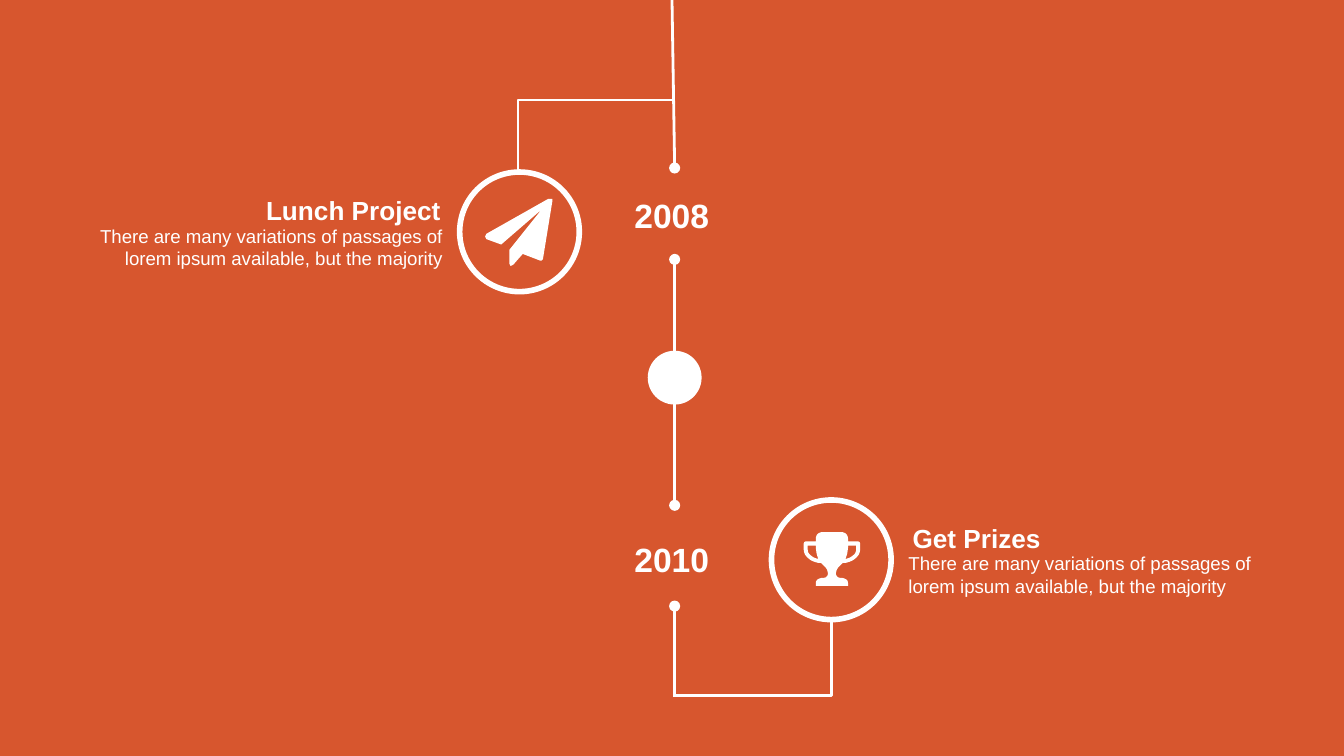
import pptx
import pptx.util
import pptx.dml.color
import pptx.enum.shapes
import pptx.enum.text
import pptx.oxml.ns
from lxml import etree

Inches = pptx.util.Inches
Pt = pptx.util.Pt
qn = pptx.oxml.ns.qn
SHAPES = pptx.enum.shapes.MSO_SHAPE
CONNECTORS = pptx.enum.shapes.MSO_CONNECTOR
ALIGN = pptx.enum.text.PP_ALIGN
ANCHOR = pptx.enum.text.MSO_ANCHOR

COLORS = {"background": "D7562E", "ink": "FFFFFF"}
FONT = "Arial"
WIDTH = 10
HEIGHT = WIDTH * 9 / 16
AXIS = 5.02
RING = 0.89
TROPHY_CENTER = 6.19
BLURB = "There are many variations of passages of lorem ipsum available, but the majority"

# Outlines in inches: a pair is a straight step, six numbers are a curve
PLANE = [
    (4.11, 1.5), (4.04, 1.93), (4.03, 1.94), (4.02, 1.94), (3.89, 1.89),
    (3.82, 1.97), (3.8, 1.98), (3.79, 1.96), (3.79, 1.86), (4.03, 1.56),
    (3.73, 1.82), (3.62, 1.78), (3.61, 1.76), (3.62, 1.74), (4.08, 1.48),
    (4.09, 1.48), (4.11, 1.48),
]
TROPHY_HALF = [
    (6.26, 3.96), (6.29, 3.96, 6.31, 3.98, 6.31, 4.01), (6.31, 4.03),
    (6.38, 4.03), (6.4, 4.03, 6.4, 4.04, 6.4, 4.06), (6.4, 4.09),
    (6.4, 4.14, 6.34, 4.19, 6.27, 4.19), (6.24, 4.22),
    (6.23, 4.23, 6.22, 4.25, 6.22, 4.27), (6.22, 4.28, 6.23, 4.3, 6.25, 4.3),
    (6.28, 4.3, 6.31, 4.31, 6.31, 4.34), (6.31, 4.36),
]
HANDLE_HOLE = [
    (6.31, 4.06), (6.37, 4.06), (6.37, 4.09),
    (6.37, 4.12, 6.34, 4.15, 6.29, 4.16), (6.3, 4.14, 6.31, 4.1, 6.31, 4.06),
]


def color(name):
    return pptx.dml.color.RGBColor.from_string(COLORS[name])


def add_shape(page, kind, left, top, width, height, fill=None, line_width=None):
    shape = page.shapes.add_shape(
        kind, Inches(left), Inches(top), Inches(width), Inches(height))
    shape.shadow.inherit = False
    if fill:
        shape.fill.solid()
        shape.fill.fore_color.rgb = color(fill)
    else:
        shape.fill.background()
    if line_width:
        shape.line.color.rgb = color("ink")
        shape.line.width = Pt(line_width)
    else:
        shape.line.fill.background()
    return shape


def add_line(page, start, end, kind=CONNECTORS.STRAIGHT, dots=()):
    """Draw a white connector; dots names the ends that carry an oval."""
    line = page.shapes.add_connector(kind, *(Inches(v) for v in start + end))
    line.line.color.rgb = color("ink")
    line.line.width = Pt(1.5)
    outline = line._element.spPr.find(qn("a:ln"))
    for dot in dots:
        etree.SubElement(outline, qn("a:" + dot), type="oval")
    etree.SubElement(line._element.spPr, qn("a:effectLst"))
    return line


def add_elbow(page, start, end):
    """Draw a one-bend connector, turned a quarter clockwise."""
    elbow = add_line(page, start, end, CONNECTORS.ELBOW)
    properties = elbow._element.spPr
    properties.find(qn("a:prstGeom")).set("prst", "bentConnector2")
    properties.find(qn("a:xfrm")).set("rot", "5400000")


def add_text(shapes, text, left, top, width, height, size,
             bold=False, align=ALIGN.LEFT):
    """Bold labels stay on one line; plain text wraps from the top."""
    box = shapes.add_textbox(Inches(left), Inches(top), Inches(width), Inches(height))
    frame = box.text_frame
    frame.margin_left = frame.margin_right = 0
    frame.margin_top = frame.margin_bottom = 0
    frame.word_wrap = not bold
    frame.auto_size = pptx.enum.text.MSO_AUTO_SIZE.SHAPE_TO_FIT_TEXT
    frame.vertical_anchor = ANCHOR.MIDDLE if bold else ANCHOR.TOP
    para = frame.paragraphs[0]
    para.alignment = align
    span = para.add_run()
    span.text = text
    span.font.name = FONT
    span.font.size = Pt(size)
    span.font.bold = bold
    span.font.color.rgb = color("ink")


def add_caption(page, heading, heading_place, blurb_place, align):
    group = page.shapes.add_group_shape()
    add_text(group.shapes, heading, *heading_place, 14, True, align)
    add_text(group.shapes, BLURB, *blurb_place, 10, False, align)


def flatten(outline, steps=8):
    """Turn an outline with curves into plain points."""
    points = [outline[0]]
    for part in outline[1:]:
        if len(part) == 2:
            points.append(part)
            continue
        corners = [points[-1], part[0:2], part[2:4], part[4:6]]
        for step in range(1, steps + 1):
            t = step / steps
            weights = ((1 - t) ** 3, 3 * t * (1 - t) ** 2, 3 * t * t * (1 - t), t ** 3)
            points.append(tuple(
                sum(w * corner[axis] for w, corner in zip(weights, corners))
                for axis in (0, 1)))
    return points


def mirror(points):
    return [(2 * TROPHY_CENTER - x, y) for x, y in reversed(points)]


def add_icon(page, contours):
    contours = [[(x * 1000, y * 1000) for x, y in points] for points in contours]
    builder = page.shapes.build_freeform(*contours[0][0], scale=Inches(1) / 1000)
    for number, points in enumerate(contours):
        if number:
            builder.move_to(*points[0])
        builder.add_line_segments(points[1:], close=True)
    icon = builder.convert_to_shape()
    icon.shadow.inherit = False
    icon.fill.solid()
    icon.fill.fore_color.rgb = color("ink")
    icon.line.fill.background()


def main():
    deck = pptx.Presentation()
    deck.slide_width, deck.slide_height = Inches(WIDTH), Inches(HEIGHT)
    page = deck.slides.add_slide(deck.slide_layouts[6])
    add_shape(page, SHAPES.RECTANGLE, 0, 0, WIDTH, HEIGHT, "background")

    # Timeline axis
    both = ("headEnd", "tailEnd")
    add_line(page, (AXIS, 4.51), (AXIS, 5.19), dots=("headEnd",))
    add_line(page, (AXIS, 2.81), (AXIS, 3.76), dots=both)
    add_line(page, (AXIS, 1.93), (AXIS, 2.81), dots=both)
    add_line(page, (5, 0), (AXIS, 1.25), dots=("tailEnd",))
    add_shape(page, SHAPES.OVAL, 4.83, 2.62, 0.38, 0.38, "ink", 1.5)

    # Years and icon rings
    for year, year_top, ring_left, ring_top in (
            ("2008", 1.45, 3.42, 1.28), ("2010", 4.01, 5.74, 3.72)):
        add_text(page.shapes, year, 4.72, year_top, 0.56, 0.3, 18, True)
        add_shape(page, SHAPES.OVAL, ring_left, ring_top, RING, RING, line_width=3)

    # Captions
    add_caption(page, "Lunch Project", (1.98, 1.44, 1.3, 0.24),
                (0.53, 1.67, 2.76, 0.34), ALIGN.RIGHT)
    add_caption(page, "Get Prizes", (6.79, 3.88, 0.96, 0.24),
                (6.76, 4.11, 2.76, 0.34), ALIGN.LEFT)

    # Branches from the axis to the rings
    add_elbow(page, (4.71, 1.6), (4.16, 0.44))
    add_elbow(page, (5.33, 4.32), (5.88, 5.48))

    # Icons
    half, hole = flatten(TROPHY_HALF), flatten(HANDLE_HOLE)
    add_icon(page, [PLANE])
    add_icon(page, [half + mirror(half), hole, mirror(hole)])

    deck.save("out.pptx")


if __name__ == "__main__":
    main()
